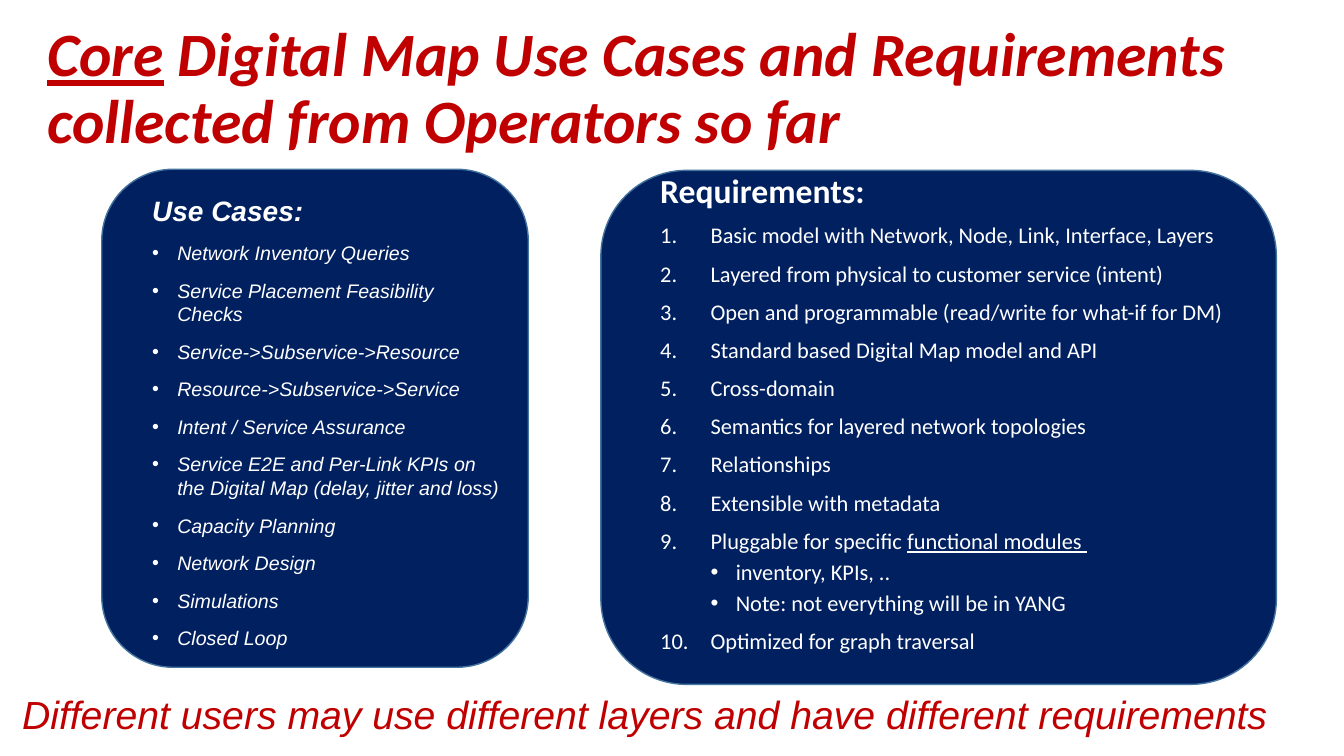
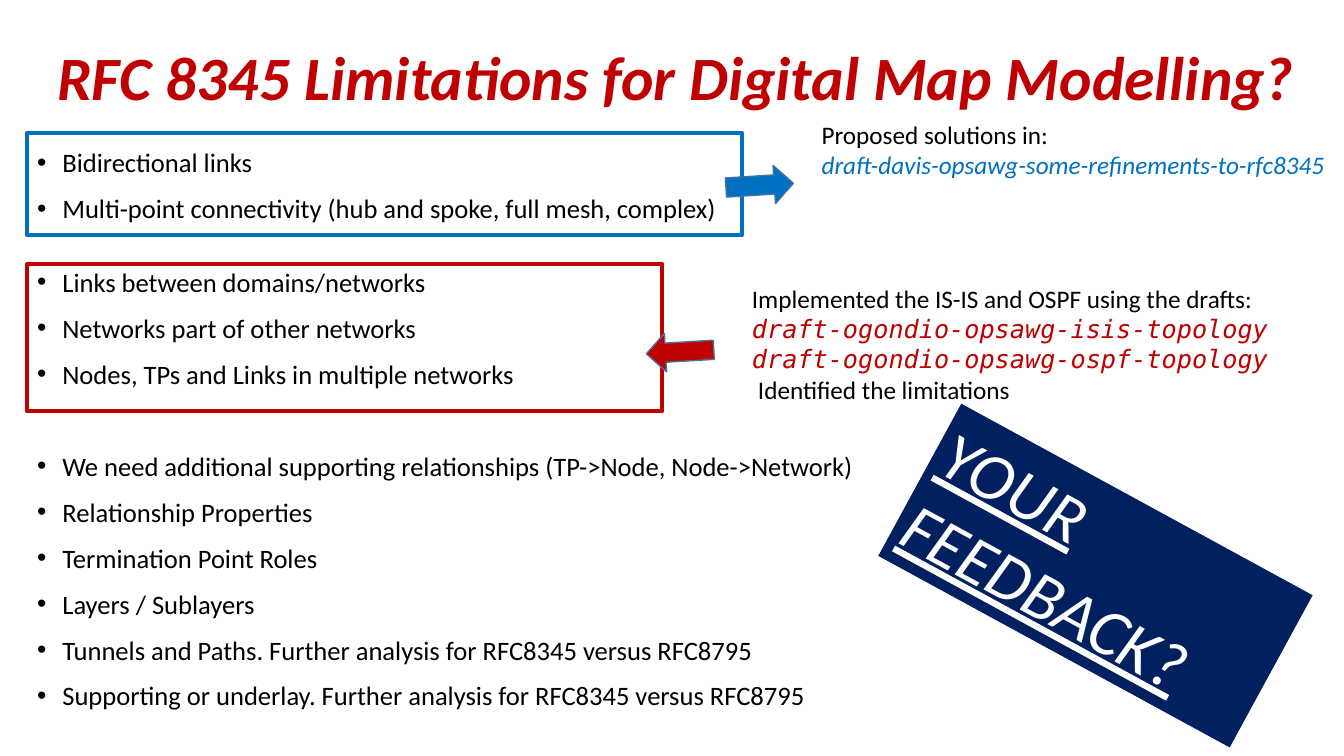
from dataclasses import dataclass, field

from lxml import etree
from pptx import Presentation
from pptx.dml.color import RGBColor
from pptx.enum.shapes import MSO_SHAPE
from pptx.enum.text import MSO_ANCHOR
from pptx.oxml.ns import qn
from pptx.util import Inches, Pt

RECTANGLE = MSO_SHAPE.RECTANGLE
ROUNDED = MSO_SHAPE.ROUNDED_RECTANGLE
RIGHT_ARROW = MSO_SHAPE.RIGHT_ARROW
TOP, MIDDLE = MSO_ANCHOR.TOP, MSO_ANCHOR.MIDDLE

NAVY = RGBColor(0x00, 0x20, 0x60)
RED = RGBColor(0xC0, 0x00, 0x00)
BLUE = RGBColor(0x00, 0x70, 0xC0)
STEEL = RGBColor(0x43, 0x73, 0x9E)
WHITE = RGBColor(0xFF, 0xFF, 0xFF)
BLACK = RGBColor(0x00, 0x00, 0x00)

TITLE = dict(name="Calibri", size=Pt(44), color=RED, bold=True, italic=True)
CLOSING = dict(name="Arial", size=Pt(28), color=RED, italic=True)
USE_CASE = dict(name="Arial", size=Pt(14), color=WHITE, italic=True)
USE_CASE_HEAD = {**USE_CASE, "size": Pt(20), "bold": True}
REQUIREMENT = dict(name="Calibri", size=Pt(16), color=WHITE)
REQUIREMENT_HEAD = {**REQUIREMENT, "size": Pt(24), "bold": True}
LIMITATION = dict(name="Calibri", size=Pt(19), color=BLACK)
NOTE = dict(name="Calibri", size=Pt(18), color=BLACK)
DRAFT_BLUE = {**NOTE, "color": BLUE, "italic": True}
DRAFT_MONO = {**NOTE, "name": "DejaVu Sans Mono", "color": RED, "italic": True}
FEEDBACK = dict(name="Calibri", size=Pt(48), color=WHITE, italic=True, underline=True)

BULLET = ("buChar", {"char": "•"})
NUMBER = ("buAutoNum", {"type": "arabicPeriod"})
SPACED = dict(space_before=Pt(10))
TIGHT = dict(space_before=Pt(10), line_spacing=0.9)
TIGHT_SUB = dict(space_before=Pt(5), line_spacing=0.9)


@dataclass
class Line:
    """One paragraph; runs between bars, as in "a |b|", are underlined."""
    text: str
    font: dict
    spacing: dict = field(default_factory=dict)
    marker: tuple = None
    indent: float = 0
    hanging: float = 0
    level: int = 0


def bullets(texts, font, spacing):
    return [Line(text, font, spacing, BULLET, 0.25, 0.25) for text in texts]


def apply(target, values):
    for name, value in values.items():
        if name == "color":
            target.color.rgb = value
        else:
            setattr(target, name, value)


class Deck:
    def __init__(self):
        self.presentation = Presentation()
        self.presentation.slide_width = Inches(13.33)
        self.presentation.slide_height = Inches(7.5)
        self.slide = None

    def new_slide(self, title, left, top, width):
        self.slide = self.presentation.slides.add_slide(
            self.presentation.slide_layouts[6])
        self.text(left, top, width, 1.45,
                  [Line(title, TITLE, dict(line_spacing=0.9))], MIDDLE)

    def shape(self, kind, left, top, width, height, fill=None, line=None,
              line_width=1, rotation=0):
        shape = self.slide.shapes.add_shape(
            kind, *map(Inches, (left, top, width, height)))
        shape.shadow.inherit = False
        shape.rotation = rotation
        if fill is None:
            shape.fill.background()
        else:
            shape.fill.solid()
            shape.fill.fore_color.rgb = fill
        if line is None:
            shape.line.fill.background()
        else:
            shape.line.color.rgb = line
            shape.line.width = Pt(line_width)
        return shape

    def text(self, left, top, width, height, lines, anchor=TOP, fill=None, rotation=0):
        box = self.slide.shapes.add_textbox(
            *map(Inches, (left, top, width, height)))
        box.rotation = rotation
        if fill is not None:
            box.fill.solid()
            box.fill.fore_color.rgb = fill
        frame = box.text_frame
        apply(frame, dict(word_wrap=True, vertical_anchor=anchor))
        for index, line in enumerate(lines):
            paragraph = frame.add_paragraph() if index else frame.paragraphs[0]
            self.paragraph(paragraph, line)

    def paragraph(self, paragraph, line):
        apply(paragraph, {**line.spacing, "level": line.level})
        properties = paragraph._p.get_or_add_pPr()
        if line.indent:
            properties.set("marL", str(Inches(line.indent)))
            properties.set("indent", str(-Inches(line.hanging)))
        if line.marker:
            tag, attributes = line.marker
            if tag == "buChar":
                etree.SubElement(properties, qn("a:buFont"), typeface="Arial")
            etree.SubElement(properties, qn(f"a:{tag}"), attributes)
        for index, part in enumerate(line.text.split("|")):
            if part:
                run = paragraph.add_run()
                run.text = part
                apply(run.font, line.font)
                if index % 2:
                    run.font.underline = True


def use_cases_slide(deck):
    deck.new_slide("|Core| Digital Map Use Cases and Requirements "
                   "collected from Operators so far", 0.37, 0.17, 12.72)
    deck.shape(ROUNDED, 1.01, 1.68, 4.23, 4.94, NAVY, STEEL)
    deck.shape(ROUNDED, 5.96, 1.69, 6.7, 5.1, NAVY, STEEL)

    use_cases = [
        "Network Inventory Queries",
        "Service Placement Feasibility Checks",
        "Service->Subservice->Resource",
        "Resource->Subservice->Service",
        "Intent / Service Assurance",
        "Service E2E and Per-Link KPIs on the Digital Map (delay, jitter and loss)",
        "Capacity Planning",
        "Network Design",
        "Simulations",
        "Closed Loop",
    ]
    deck.text(1.41, 1.87, 3.68, 4.42,
              [Line("Use Cases:", USE_CASE_HEAD, SPACED),
               *bullets(use_cases, USE_CASE, SPACED)])

    requirements = [
        "Basic model with Network, Node, Link, Interface, Layers",
        "Layered from physical to customer service (intent)",
        "Open and programmable (read/write for what-if for DM)",
        "Standard based Digital Map model and API",
        "Cross-domain",
        "Semantics for layered network topologies",
        "Relationships",
        "Extensible with metadata",
        "Pluggable for specific |functional modules |",
        "Optimized for graph traversal",
    ]
    module_notes = ["inventory, KPIs, ..", "Note: not everything will be in YANG"]
    numbered = [Line(text, REQUIREMENT, TIGHT, NUMBER, 0.5, 0.5)
                for text in requirements]
    details = [Line(text, REQUIREMENT, TIGHT_SUB, BULLET, 0.75, 0.25, 1)
               for text in module_notes]
    deck.text(6.45, 1.68, 5.94, 4.76,
              [Line("Requirements:", REQUIREMENT_HEAD, TIGHT),
               *numbered[:-1], *details, numbered[-1]])
    deck.text(0.12, 6.8, 13.21, 0.56,
              [Line("Different users may use different layers and have "
                    "different requirements", CLOSING)])


def limitations_slide(deck):
    deck.new_slide("RFC 8345 Limitations for Digital Map Modelling?",
                   0.47, 0.07, 12.6)
    # Each group of limitations with the space above its first line
    groups = [
        (10, ["Bidirectional links",
              "Multi-point connectivity (hub and spoke, full mesh, complex)"]),
        (30, ["Links between domains/networks",
              "Networks part of other networks",
              "Nodes, TPs and Links in multiple networks"]),
        (43, ["We need additional supporting relationships (TP->Node, Node->Network)",
              "Relationship Properties",
              "Termination Point Roles",
              "Layers / Sublayers",
              "Tunnels and Paths. Further analysis for RFC8345 versus RFC8795",
              "Supporting or underlay. Further analysis for RFC8345 versus RFC8795"]),
    ]
    limitations = []
    for gap, texts in groups:
        limitations += bullets(texts[:1], LIMITATION, dict(space_before=Pt(gap)))
        limitations += bullets(texts[1:], LIMITATION, SPACED)
    deck.text(0.27, 1.4, 12.95, 6.1, limitations)

    deck.shape(RECTANGLE, 0.27, 2.62, 6.3, 1.46, line=RED, line_width=3)
    deck.shape(RECTANGLE, 0.27, 1.32, 7.09, 1.01, line=BLUE, line_width=3)
    deck.shape(RIGHT_ARROW, 7.2, 1.65, 0.67, 0.38, BLUE, STEEL, rotation=356.4)
    deck.shape(RIGHT_ARROW, 6.41, 3.3, 0.67, 0.38, RED, STEEL, rotation=176.6)

    deck.text(8.05, 1.13, 5.28, 0.71, [
        Line("Proposed solutions in:", NOTE),
        Line("draft-davis-opsawg-some-refinements-to-rfc8345", DRAFT_BLUE)])
    deck.text(7.36, 2.76, 5.34, 1.31, [
        Line("Implemented the IS-IS and OSPF using the drafts:", NOTE),
        Line("draft-ogondio-opsawg-isis-topology", DRAFT_MONO),
        Line("draft-ogondio-opsawg-ospf-topology", DRAFT_MONO),
        Line("Identified the limitations", NOTE, indent=0.06)])
    deck.text(8.88, 4.85, 3.97, 1.72, [Line("YOUR FEEDBACK?", FEEDBACK)],
              fill=NAVY, rotation=28.6)


def main():
    deck = Deck()
    use_cases_slide(deck)
    limitations_slide(deck)
    deck.presentation.save("out.pptx")


if __name__ == "__main__":
    main()
